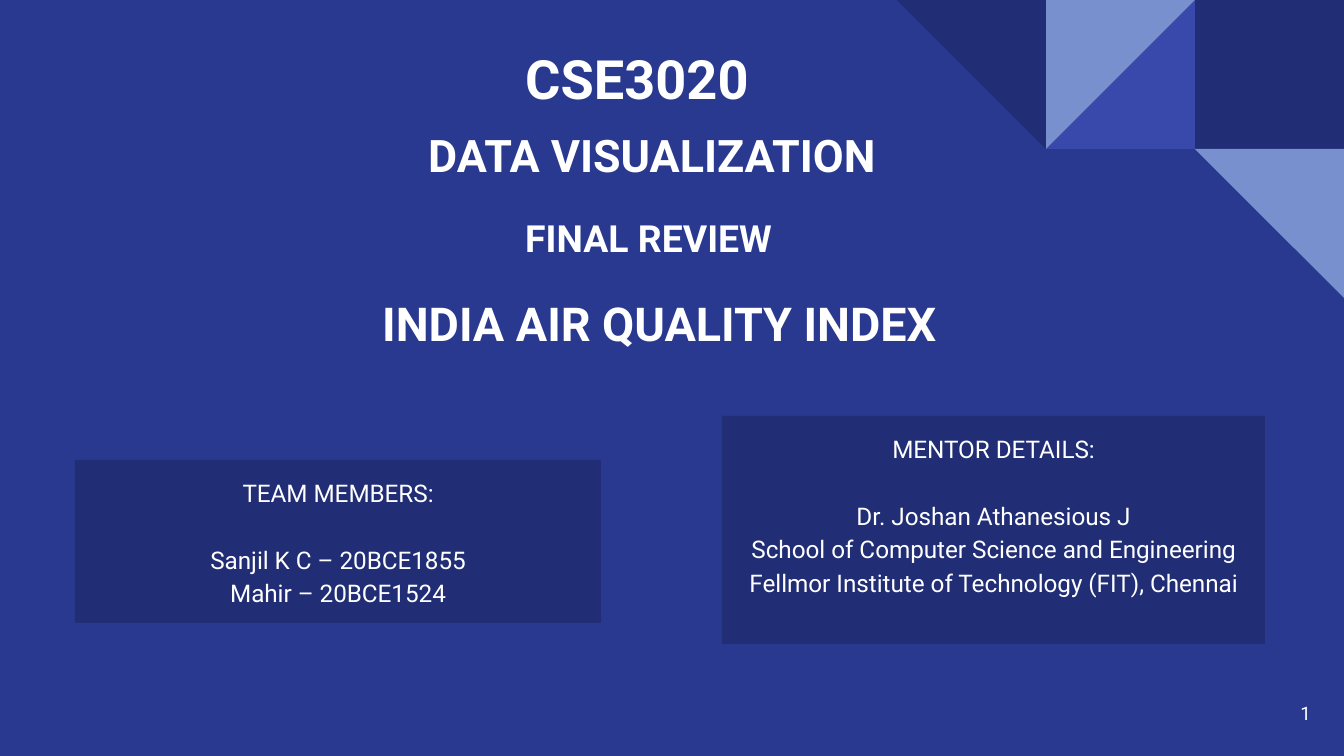
from dataclasses import dataclass

from pptx import Presentation
from pptx.dml.color import RGBColor
from pptx.enum.shapes import MSO_SHAPE
from pptx.enum.text import MSO_ANCHOR, PP_ALIGN
from pptx.util import Emu, Pt

EMU_PER_PX = 914400 / 134.4
SLIDE_W, SLIDE_H = 1344, 756
TILE = 149


@dataclass(frozen=True)
class Theme:
    font: str = "Roboto"
    background: str = "2A3990"
    navy: str = "212D74"
    indigo: str = "3949AB"
    sky: str = "7890CD"
    text: str = "FFFFFF"
    course: int = 29
    topic: int = 25
    subject: int = 24
    review: int = 20
    body: int = 13
    page: int = 10


THEME = Theme()


def px(n):
    return Emu(round(n * EMU_PER_PX))


def box_px(*lengths):
    return [px(n) for n in lengths]


def set_text(sp, text, size, bold=False, align=PP_ALIGN.LEFT, anchor=MSO_ANCHOR.TOP):
    tf = sp.text_frame
    tf.text = text
    tf.word_wrap = True
    tf.vertical_anchor = anchor
    tf.margin_left = tf.margin_right = tf.margin_top = tf.margin_bottom = Pt(7.2)
    for p in tf.paragraphs:
        p.alignment = align
        for r in p.runs:
            r.font.name = THEME.font
            r.font.size = Pt(size)
            r.font.bold = bold
            r.font.color.rgb = RGBColor.from_string(THEME.text)
    return tf


def add_label(slide, box, text, size, **style):
    sp = slide.shapes.add_textbox(*box_px(*box))
    set_text(sp, text, size, **style)


def add_block(slide, kind, box, color, rotation=0):
    sp = slide.shapes.add_shape(kind, *box_px(*box))
    sp.shadow.inherit = False
    sp.fill.solid()
    sp.fill.fore_color.rgb = RGBColor.from_string(color)
    sp.line.fill.background()
    sp.rotation = rotation
    return sp


def add_tile(slide, kind, from_right, row, color, rotation=0):
    box = (SLIDE_W - from_right * TILE, row * TILE, TILE, TILE)
    add_block(slide, kind, box, color, rotation)


def add_details(slide, box, heading, lines):
    sp = add_block(slide, MSO_SHAPE.RECTANGLE, box, THEME.navy)
    tf = set_text(sp, "\n".join([heading, *lines]), THEME.body, align=PP_ALIGN.CENTER)
    for p in tf.paragraphs:
        p.line_spacing = 1.15
    tf.paragraphs[0].space_after = Pt(18)


def main():
    prs = Presentation()
    prs.slide_width, prs.slide_height = px(SLIDE_W), px(SLIDE_H)
    slide = prs.slides.add_slide(prs.slide_layouts[6])
    fill = slide.background.fill
    fill.solid()
    fill.fore_color.rgb = RGBColor.from_string(THEME.background)

    # Corner tiles, counted from the right edge
    triangle = MSO_SHAPE.RIGHT_TRIANGLE
    add_tile(slide, MSO_SHAPE.RECTANGLE, 1, 0, THEME.navy)
    add_tile(slide, triangle, 2, 0, THEME.indigo, 270)
    add_tile(slide, triangle, 2, 0, THEME.sky, 90)
    add_tile(slide, triangle, 3, 0, THEME.navy, 180)
    add_tile(slide, triangle, 1, 1, THEME.sky, 180)

    # Titles
    for box, text, size in (
        ((512, 32, 399, 93), "CSE3020", THEME.course),
        ((415, 114, 600, 82), "DATA VISUALIZATION", THEME.subject),
        ((512, 202, 300, 73), "FINAL REVIEW", THEME.review),
        ((369, 281, 800, 84), "INDIA AIR QUALITY INDEX", THEME.topic),
    ):
        add_label(slide, box, text, size, bold=True)

    # Team and mentor panels
    add_details(slide, (75, 460, 526, 163), "TEAM MEMBERS:", [
        "Sanjil K C – 20BCE1855",
        "Mahir – 20BCE1524",
    ])
    add_details(slide, (722, 416, 543, 228), "MENTOR DETAILS:", [
        "Dr. Joshan Athanesious J",
        "School of Computer Science and Engineering",
        "Fellmor Institute of Technology (FIT), Chennai",
    ])

    # Page number
    add_label(slide, (1243, 684, 81, 58), "1", THEME.page,
              align=PP_ALIGN.RIGHT, anchor=MSO_ANCHOR.MIDDLE)

    prs.save("out.pptx")


if __name__ == "__main__":
    main()
